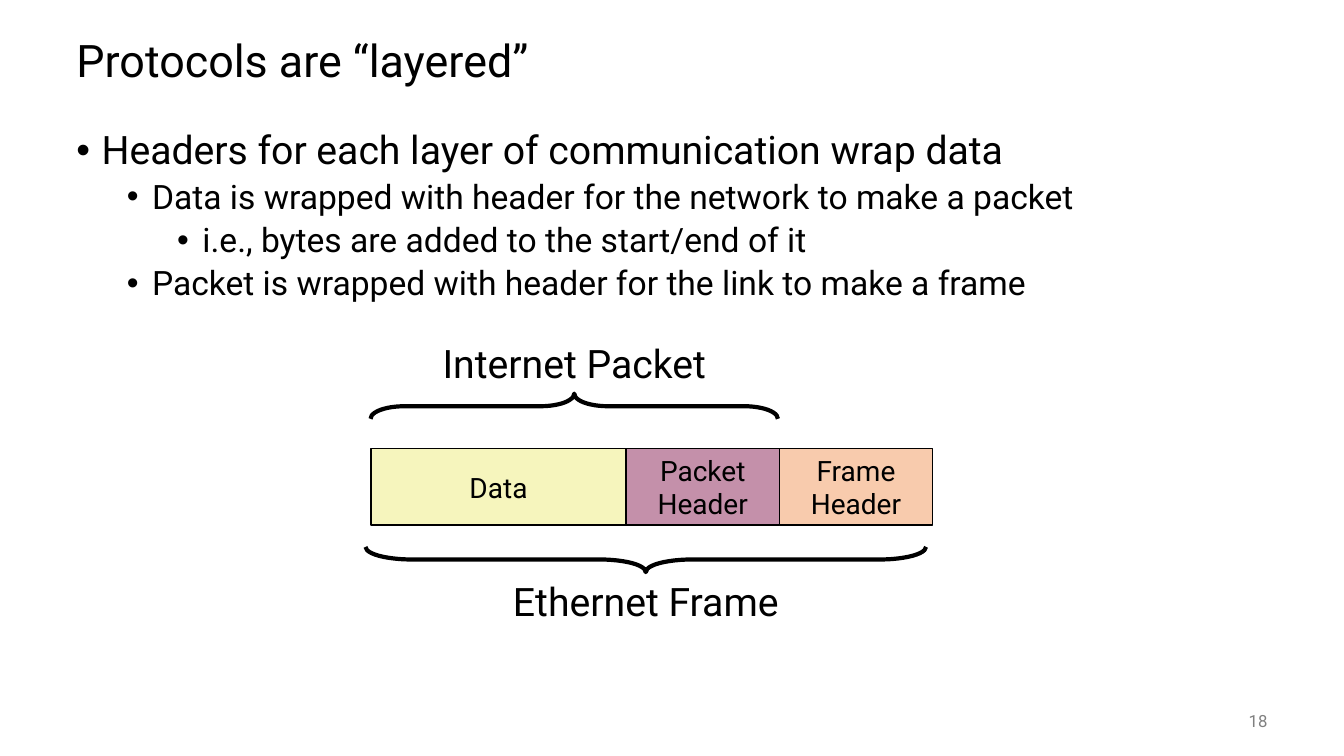
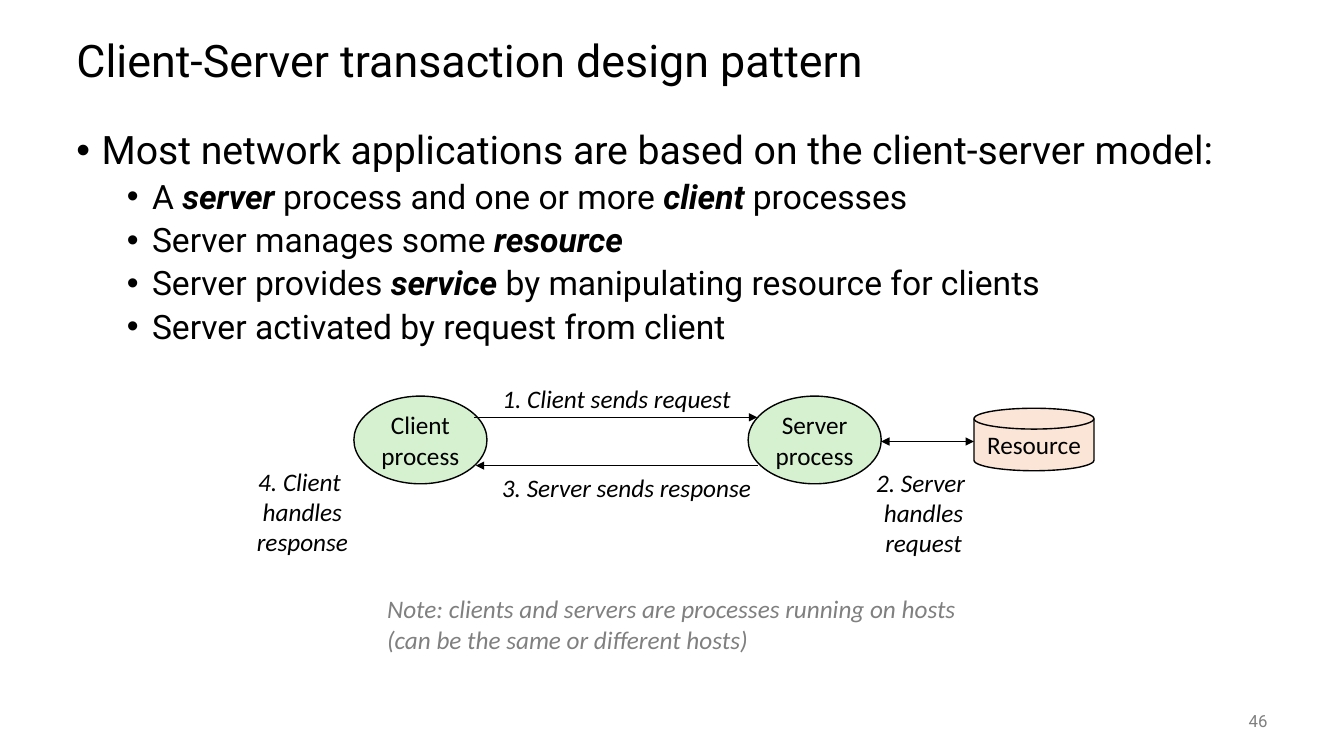
from dataclasses import dataclass

from lxml import etree
from pptx import Presentation
from pptx.dml.color import RGBColor
from pptx.enum.shapes import MSO_CONNECTOR, MSO_SHAPE
from pptx.enum.text import MSO_ANCHOR, MSO_AUTO_SIZE, PP_ALIGN
from pptx.oxml.ns import qn
from pptx.util import Inches, Pt

BLACK = RGBColor(0x00, 0x00, 0x00)
GRAY = RGBColor(0x80, 0x80, 0x80)
YELLOW = RGBColor(0xF6, 0xF5, 0xBD)
MAUVE = RGBColor(0xC4, 0x90, 0xAA)
ORANGE = RGBColor(0xF8, 0xCB, 0xAD)
GREEN = RGBColor(0xD5, 0xF1, 0xCF)
PEACH = RGBColor(0xFB, 0xE5, 0xD6)

RECTANGLE = MSO_SHAPE.RECTANGLE
OVAL = MSO_SHAPE.OVAL
DISK = MSO_SHAPE.FLOWCHART_MAGNETIC_DISK
LEFT_BRACE = MSO_SHAPE.LEFT_BRACE
STRAIGHT = MSO_CONNECTOR.STRAIGHT
TOP = MSO_ANCHOR.TOP
MIDDLE = MSO_ANCHOR.MIDDLE
LEFT = PP_ALIGN.LEFT
CENTER = PP_ALIGN.CENTER
RIGHT = PP_ALIGN.RIGHT
FIT_SHAPE = MSO_AUTO_SIZE.SHAPE_TO_FIT_TEXT


@dataclass(frozen=True)
class Frame:
    left: float
    top: float
    width: float
    height: float

    def lengths(self):
        return (Inches(self.left), Inches(self.top),
                Inches(self.width), Inches(self.height))


@dataclass(frozen=True)
class Style:
    name: str
    size: int
    color: RGBColor = BLACK
    italic: bool = False
    align: PP_ALIGN = CENTER


@dataclass(frozen=True)
class Bullet:
    text: str
    level: int = 0


@dataclass(frozen=True)
class Label:
    frame: Frame
    text: str
    style: Style


@dataclass(frozen=True)
class Node:
    kind: MSO_SHAPE
    frame: Frame
    fill: RGBColor
    text: str
    style: Style


@dataclass(frozen=True)
class Brace:
    frame: Frame
    rotation: int
    curve: float


@dataclass(frozen=True)
class Arrow:
    start: float
    end: float
    y: float
    both_ends: bool = False


TITLE_FRAME = Frame(0.66, 0.25, 12, 0.75)
BODY_FRAME = Frame(0.66, 1.25, 12, 5.5)
NUMBER_FRAME = Frame(11.67, 6.95, 1, 0.4)
TITLE = Style("Roboto", 32, align=LEFT)
BODY_STYLES = (Style("Roboto", 28, align=LEFT),
               Style("Roboto", 24, align=LEFT),
               Style("Roboto", 24, align=LEFT))
NUMBER = Style("Roboto", 12, GRAY, align=RIGHT)
FIELD = Style("Roboto", 20)
BRACE_LABEL = Style("Roboto", 28)
PROCESS = Style("Calibri", 18)
STEP = Style("Calibri", 18, italic=True)
NOTE = Style("Calibri", 18, GRAY, True, LEFT)

LAYER_BULLETS = (
    Bullet("Headers for each layer of communication wrap data"),
    Bullet("Data is wrapped with header for the network to make a packet", 1),
    Bullet("i.e., bytes are added to the start/end of it", 2),
    Bullet("Packet is wrapped with header for the link to make a frame", 1),
)
FRAME_FIELDS = (("Data", 2.53, YELLOW), ("Packet\vHeader", 1.52, MAUVE),
                ("Frame\vHeader", 1.52, ORANGE))
BRACES = (Brace(Frame(5.57, 2.01, 0.25, 4.04), 90, 1.33),
          Brace(Frame(6.28, 2.77, 0.25, 5.56), 270, 1.83))
BRACE_LABELS = (
    Label(Frame(4.27, 3.31, 2.85, 0.57), "Internet Packet", BRACE_LABEL),
    Label(Frame(4.96, 5.68, 2.89, 0.57), "Ethernet Frame", BRACE_LABEL),
)

CLIENT_BULLETS = (
    Bullet("Most network applications are based on the client-server model:"),
    Bullet("A *server* process and one or more *client *processes", 1),
    Bullet("Server manages some *resource*", 1),
    Bullet("Server provides *service* by manipulating resource for clients", 1),
    Bullet("Server activated by request from client", 1),
)
NODES = (
    Node(OVAL, Frame(3.51, 3.93, 1.32, 0.87), GREEN, "Client\nprocess", PROCESS),
    Node(OVAL, Frame(7.42, 3.93, 1.32, 0.87), GREEN, "Server\nprocess", PROCESS),
    Node(DISK, Frame(9.66, 4.05, 1.19, 0.62), PEACH, "Resource", PROCESS),
)
ARROWS = (Arrow(4.7, 7.51, 4.14), Arrow(7.52, 4.72, 4.62),
          Arrow(8.74, 9.66, 4.38, True))
STEP_LABELS = (
    Label(Frame(4.84, 3.75, 2.55, 0.4), "1. Client sends request", STEP),
    Label(Frame(8.57, 4.58, 1.18, 1.01), "2. Server \nhandles\nrequest", STEP),
    Label(Frame(4.83, 4.64, 2.77, 0.4), "3. Server sends response", STEP),
    Label(Frame(2.43, 4.57, 1.14, 1.01), "4. Client \nhandles\nresponse", STEP),
)
HOSTS_NOTE = Label(
    Frame(3.74, 5.84, 6.11, 0.71),
    "Note: clients and servers are processes running on hosts\n"
    "(can be the same or different hosts)", NOTE)


def style_paragraph(paragraph, style: Style) -> None:
    paragraph.alignment = style.align
    font = paragraph.font
    font.name = style.name
    font.size = Pt(style.size)
    font.italic = style.italic
    font.color.rgb = style.color


def write_text(shape, text: str, style: Style, wrap: bool, anchor: MSO_ANCHOR) -> None:
    text_frame = shape.text_frame
    text_frame.word_wrap = wrap
    text_frame.vertical_anchor = anchor
    text_frame.text = text
    for paragraph in text_frame.paragraphs:
        style_paragraph(paragraph, style)


def add_text(slide, frame: Frame, text: str, style: Style, wrap: bool = True,
             anchor: MSO_ANCHOR = MIDDLE):
    box = slide.shapes.add_textbox(*frame.lengths())
    write_text(box, text, style, wrap, anchor)
    return box


def add_label(slide, label: Label) -> None:
    centered = label.style.align == CENTER
    box = add_text(slide, label.frame, label.text, label.style,
                   wrap=not centered, anchor=MIDDLE if centered else TOP)
    box.text_frame.auto_size = FIT_SHAPE


def add_bullets(slide, bullets: tuple[Bullet, ...]) -> None:
    text_frame = slide.shapes.add_textbox(*BODY_FRAME.lengths()).text_frame
    text_frame.word_wrap = True
    for index, bullet in enumerate(bullets):
        paragraph = text_frame.add_paragraph() if index else text_frame.paragraphs[0]
        paragraph.level = bullet.level
        paragraph.line_spacing = 0.9
        paragraph.space_before = Pt(5 if index else 0)
        properties = paragraph._p.get_or_add_pPr()
        properties.set("marL", str(Inches(0.25 + 0.5 * bullet.level)))
        properties.set("indent", str(Inches(-0.25)))
        etree.SubElement(properties, qn("a:buFont")).set("typeface", "Arial")
        etree.SubElement(properties, qn("a:buChar")).set("char", "•")
        style_paragraph(paragraph, BODY_STYLES[bullet.level])
        for position, part in enumerate(bullet.text.split("*")):
            if part:
                run = paragraph.add_run()
                run.text = part
                if position % 2:
                    run.font.bold = True
                    run.font.italic = True


def add_node(slide, node: Node) -> None:
    shape = slide.shapes.add_shape(node.kind, *node.frame.lengths())
    shape.shadow.inherit = False
    shape.fill.solid()
    shape.fill.fore_color.rgb = node.fill
    shape.line.color.rgb = BLACK
    shape.line.width = Pt(1)
    write_text(shape, node.text, node.style, False, MIDDLE)


def add_brace(slide, brace: Brace) -> None:
    shape = slide.shapes.add_shape(LEFT_BRACE, *brace.frame.lengths())
    shape.shadow.inherit = False
    shape.rotation = brace.rotation
    shape.adjustments[0] = brace.curve
    shape.fill.background()
    shape.line.color.rgb = BLACK
    shape.line.width = Pt(3)


def add_arrow(slide, arrow: Arrow) -> None:
    connector = slide.shapes.add_connector(
        STRAIGHT, Inches(arrow.start), Inches(arrow.y),
        Inches(arrow.end), Inches(arrow.y))
    connector.line.color.rgb = BLACK
    connector.line.width = Pt(1)
    line = connector.line._get_or_add_ln()
    for end in ("a:headEnd", "a:tailEnd") if arrow.both_ends else ("a:tailEnd",):
        etree.SubElement(line, qn(end)).set("type", "triangle")
    etree.SubElement(connector._element.spPr, qn("a:effectLst"))


def add_base_slide(presentation, title: str, number: int, bullets: tuple[Bullet, ...]):
    slide = presentation.slides.add_slide(presentation.slide_layouts[6])
    title_box = add_text(slide, TITLE_FRAME, title, TITLE)
    title_box.text_frame.paragraphs[0].line_spacing = 0.9
    add_bullets(slide, bullets)
    add_text(slide, NUMBER_FRAME, str(number), NUMBER)
    return slide


def build_layers_slide(presentation) -> None:
    slide = add_base_slide(presentation, "Protocols are “layered”", 18, LAYER_BULLETS)
    left = 3.68
    for text, width, fill in FRAME_FIELDS:
        add_node(slide, Node(RECTANGLE, Frame(left, 4.45, width, 0.76), fill, text, FIELD))
        left += width
    for brace in BRACES:
        add_brace(slide, brace)
    for label in BRACE_LABELS:
        add_label(slide, label)


def build_client_server_slide(presentation) -> None:
    slide = add_base_slide(presentation, "Client-Server transaction design pattern",
                           46, CLIENT_BULLETS)
    for node in NODES:
        add_node(slide, node)
    for arrow in ARROWS:
        add_arrow(slide, arrow)
    for label in (*STEP_LABELS, HOSTS_NOTE):
        add_label(slide, label)


def main() -> None:
    presentation = Presentation()
    presentation.slide_width = Inches(13.33)
    presentation.slide_height = Inches(7.5)
    build_layers_slide(presentation)
    build_client_server_slide(presentation)
    presentation.save("out.pptx")


if __name__ == "__main__":
    main()
